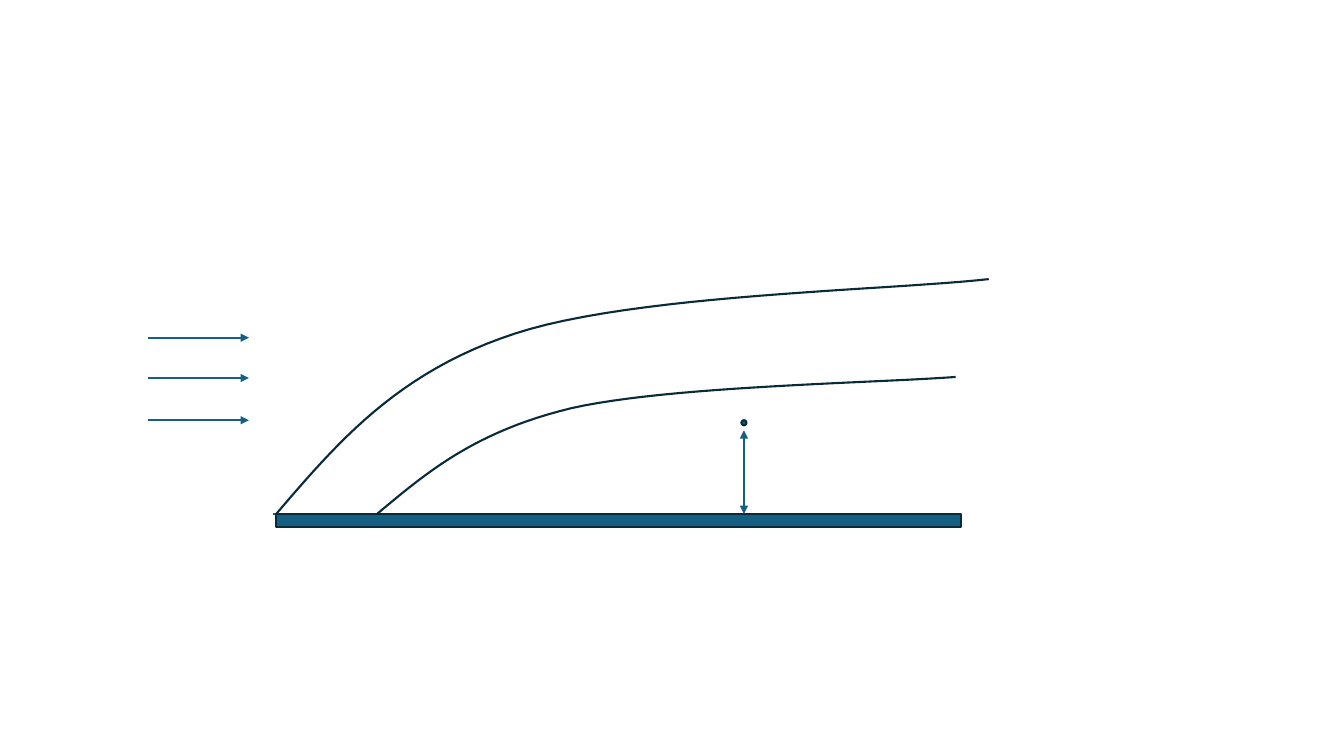
from dataclasses import dataclass

import pptx
import pptx.dml.color
import pptx.enum.shapes
import pptx.oxml.ns
import pptx.util
from lxml import etree
from pptx.util import Pt

COLORS = {"blue": "156082", "navy": "092A39"}
LINE_WIDTH = 1.5
STEPS_PER_SEGMENT = 24
PLATE_TOP = 367.2

Point = tuple[float, float]


@dataclass(frozen=True)
class Line:
    start: Point
    end: Point
    head: bool = False
    tail: bool = False


@dataclass(frozen=True)
class Block:
    kind: pptx.enum.shapes.MSO_SHAPE
    left: float
    top: float
    width: float
    height: float


@dataclass(frozen=True)
class Curve:
    """Joined cubic segments: a start point, then three points per segment."""
    points: tuple[Point, ...]


def color(name: str) -> pptx.dml.color.RGBColor:
    return pptx.dml.color.RGBColor.from_string(COLORS[name])


def style_line(shape, name: str) -> None:
    shape.line.color.rgb = color(name)
    shape.line.width = Pt(LINE_WIDTH)


def draw_line(slide, line: Line) -> None:
    connector = slide.shapes.add_connector(
        pptx.enum.shapes.MSO_CONNECTOR.STRAIGHT,
        *(Pt(value) for value in line.start + line.end))
    style_line(connector, "blue")
    qualified = pptx.oxml.ns.qn
    properties = connector.element.spPr
    outline = properties.find(qualified("a:ln"))
    for tag, wanted in (("a:headEnd", line.head), ("a:tailEnd", line.tail)):
        if wanted:
            etree.SubElement(outline, qualified(tag), type="triangle")
    etree.SubElement(properties, qualified("a:effectLst"))


def draw_block(slide, block: Block) -> None:
    shape = slide.shapes.add_shape(
        block.kind, Pt(block.left), Pt(block.top), Pt(block.width), Pt(block.height))
    shape.shadow.inherit = False
    shape.fill.solid()
    shape.fill.fore_color.rgb = color("blue")
    style_line(shape, "navy")


def bezier(controls: tuple[Point, ...], t: float) -> Point:
    weights = ((1 - t) ** 3, 3 * t * (1 - t) ** 2, 3 * t ** 2 * (1 - t), t ** 3)
    x, y = (sum(weight * point[axis] for weight, point in zip(weights, controls))
            for axis in (0, 1))
    return x, y


def draw_curve(slide, curve: Curve) -> None:
    samples = [
        bezier(curve.points[first:first + 4], step / STEPS_PER_SEGMENT)
        for first in range(0, len(curve.points) - 1, 3)
        for step in range(1, STEPS_PER_SEGMENT + 1)
    ]
    start_x, start_y = curve.points[0]
    builder = slide.shapes.build_freeform(Pt(start_x), Pt(start_y))
    builder.add_line_segments([(Pt(x), Pt(y)) for x, y in samples], close=False)
    shape = builder.convert_to_shape()
    shape.shadow.inherit = False
    shape.fill.background()
    style_line(shape, "navy")


SHAPES = pptx.enum.shapes.MSO_SHAPE
BASELINE = Line((195.1, PLATE_TOP), (682.6, PLATE_TOP))
PLATE = Block(SHAPES.RECTANGLE, 197.3, PLATE_TOP, 488.9, 9.4)
FLOW_ARROWS = [Line((105.8, y), (177.8, y), tail=True) for y in (241.2, 270, 300.2)]
OUTER_LAYER = Curve((
    (197.3, PLATE_TOP), (240.5, 316.8), (283.7, 265.7), (367.9, 238.3),
    (452.9, 210.2), (635.8, 207.4), (706.3, 199.4)))
INNER_LAYER = Curve((
    (269.3, PLATE_TOP), (304.6, 337.7), (339.1, 308.2), (408.2, 291.6),
    (477.4, 275.8), (625.7, 273.6), (682.6, 269.3)))
PROBE = Block(SHAPES.OVAL, 529.6, 300.2, 3.6, 3.6)
HEIGHT_ARROW = Line((531.4, 307.4), (531.4, PLATE_TOP), head=True, tail=True)


def main() -> None:
    presentation = pptx.Presentation()
    presentation.slide_width = Pt(960)
    presentation.slide_height = Pt(540)
    slide = presentation.slides.add_slide(presentation.slide_layouts[6])

    # Plate and outer boundary layer
    draw_line(slide, BASELINE)
    draw_curve(slide, OUTER_LAYER)
    draw_block(slide, PLATE)

    # Incoming flow
    for arrow in FLOW_ARROWS:
        draw_line(slide, arrow)

    # Inner boundary layer and the point above the plate
    draw_curve(slide, INNER_LAYER)
    draw_block(slide, PROBE)
    draw_line(slide, HEIGHT_ARROW)

    presentation.save("out.pptx")


if __name__ == "__main__":
    main()
